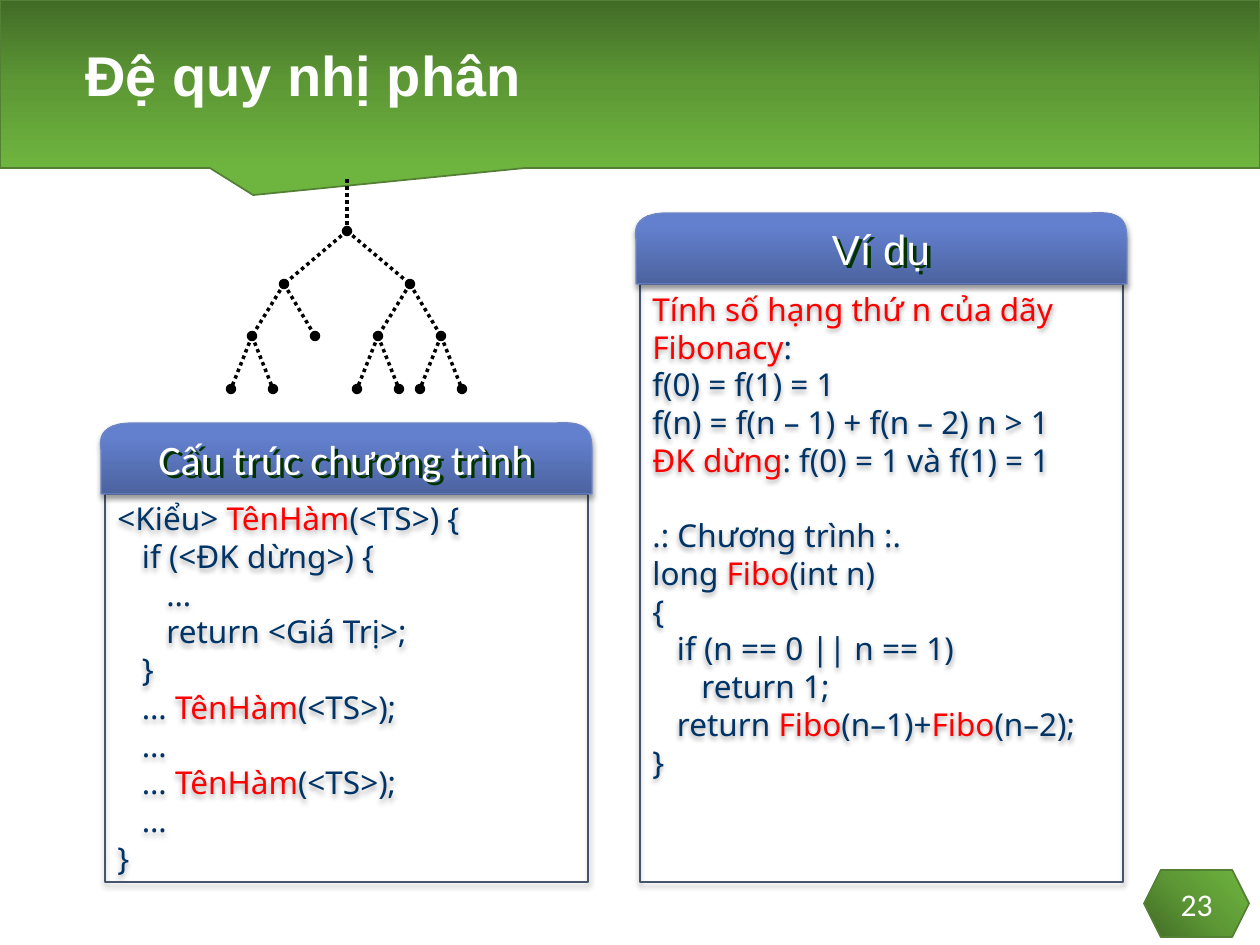
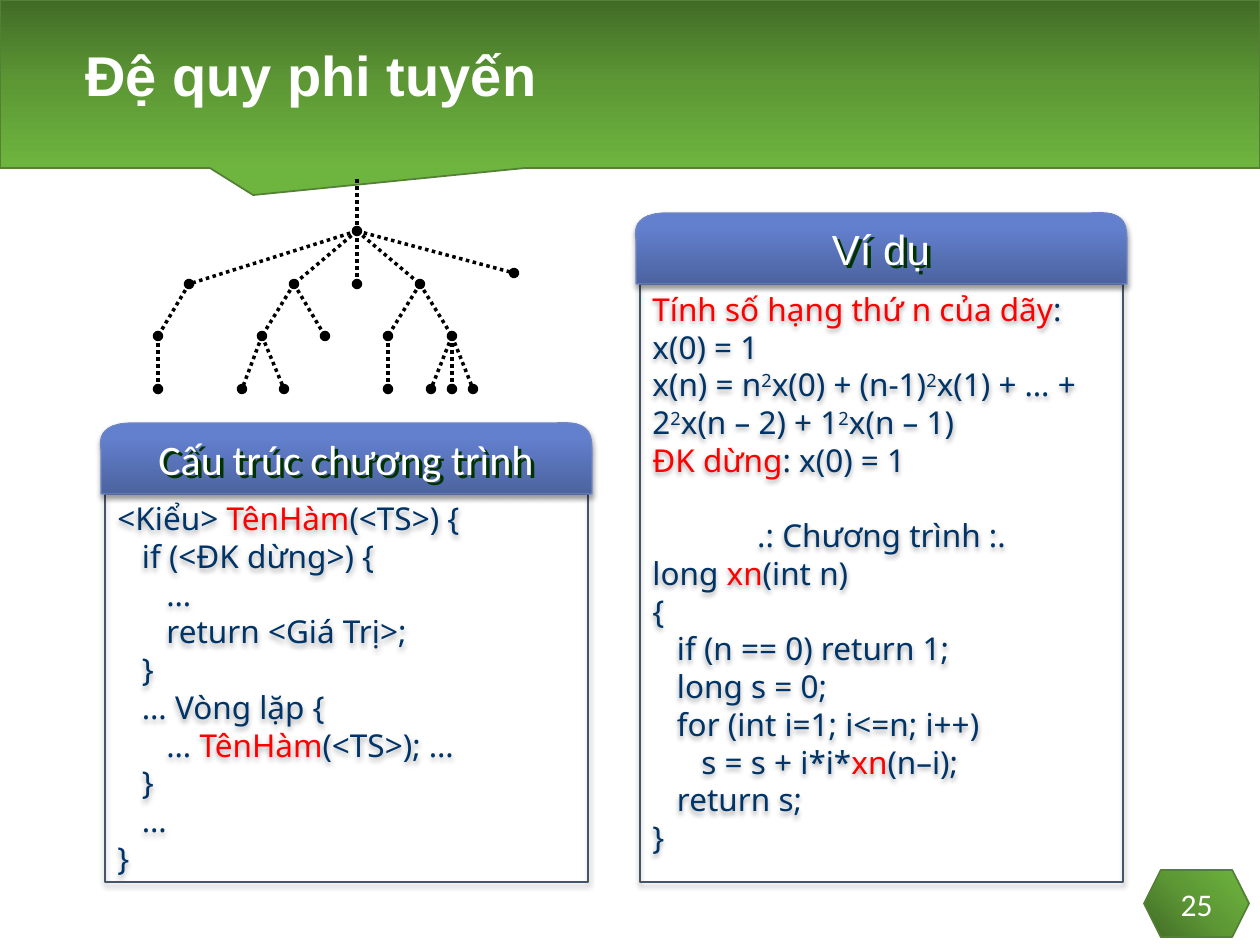
from lxml import etree
from pptx import Presentation
from pptx.dml.color import RGBColor
from pptx.enum.dml import MSO_LINE
from pptx.enum.shapes import MSO_CONNECTOR, MSO_SHAPE
from pptx.enum.text import MSO_ANCHOR, PP_ALIGN
from pptx.oxml import parse_xml
from pptx.oxml.ns import nsdecls, qn
from pptx.util import Pt

PX = 914400 / 126  # EMU per pixel

WHITE, BLACK, NAVY, RED = "FFFFFF", "000000", "003366", "FF0000"
GREEN_EDGE, BOX_EDGE, TAB_EDGE = "538035", "44546A", "6E86C6"
GREENS = [(0, "416B26"), (50, "5D9835"), (100, "6EB53F")]
BLUES = [(0, "4C639F"), (80, "6380CE"), (100, "6180D1")]
SHADOW = ('<a:outerShdw {ns} blurRad="{blur}" dist="{dist}" dir="{turn}" algn="ctr" rotWithShape="0">'
          '<a:srgbClr val="{colour}"><a:alpha val="{alpha}"/></a:srgbClr></a:outerShdw>')
SOFT = SHADOW.format(ns=nsdecls("a"), blur=39370, dist=22860, turn=5400000,
                     colour=BLACK, alpha=35000)
HARD = SHADOW.format(ns=nsdecls("a"), blur=0, dist=35560, turn=2700000,
                     colour="003300", alpha=100000)
LINE_PITCH = Pt(21.55)
INDENT = 24.5

# Code lines: a tab is one indent, ~ toggles red, ^ toggles superscript.
HEAD = ["<Kiểu> ~TênHàm~(<TS>) {", "\tif (<ĐK dừng>) {", "\t\t…",
        "\t\treturn <Giá Trị>;", "\t}"]
CAPTION = ".: Chương trình :."
LEVELS = [179, 231, 284, 336, 389]
RAISED = {514: 273}  # the one node above its level

SLIDES = [
    {
        "title": "Đệ quy nhị phân", "number": "23", "caption_align": PP_ALIGN.LEFT,
        "structure": HEAD + ["\t… ~TênHàm~(<TS>);", "\t…"] * 2 + ["}"],
        "example": ["~Tính số hạng thứ n của dãy Fibonacy~:", "f(0) = f(1) = 1",
                    "f(n) = f(n – 1) + f(n – 2) n > 1",
                    "~ĐK dừng~: f(0) = 1 và f(1) = 1", CAPTION,
                    "long ~Fibo~(int n)", "{", "\tif (n == 0 || n == 1)",
                    "\t\treturn 1;", "\treturn ~Fibo~(n–1)+~Fibo~(n–2);", "}"],
        "tree": [{347: [347]}, {347: [284, 410]},
                 {284: [252, 315], 410: [378, 441]},
                 {252: [231, 273], 378: [357, 399], 441: [420, 462]}],
    },
    {
        "title": "Đệ quy phi tuyến", "number": "25", "caption_align": PP_ALIGN.CENTER,
        "structure": HEAD + ["\t… Vòng lặp {", "\t\t… ~TênHàm~(<TS>); …", "\t}", "\t…", "}"],
        "example": ["~Tính số hạng thứ n của dãy~:", "x(0) = 1",
                    "x(n) = n^2^x(0) + (n-1)^2^x(1) + … + 2^2^x(n – 2) + 1^2^x(n – 1)",
                    "~ĐK dừng~: x(0) = 1", CAPTION,
                    "long ~xn~(int n)", "{", "\tif (n == 0) return 1;", "\tlong s = 0;",
                    "\tfor (int i=1; i<=n; i++)", "\t\ts = s + i*i*~xn~(n–i);",
                    "\treturn s;", "}"],
        "tree": [{357: [357]}, {357: [189, 294, 357, 420, 514]},
                 {189: [158], 294: [262, 325], 420: [388, 452]},
                 {158: [158], 262: [242, 284], 388: [388], 452: [431, 452, 473]}],
    },
]


def paint(fill, colours, spPr=None, angle=None):
    """Fill with one hex colour, or with (percent, hex) stops, radial without an angle."""
    if isinstance(colours, str):
        fill.solid()
        fill.fore_color.rgb = RGBColor.from_string(colours)
        return
    fill.gradient()
    grad = spPr.find(qn("a:gradFill"))
    stops = grad.find(qn("a:gsLst"))
    for stop in list(stops):
        stops.remove(stop)
    for percent, colour in colours:
        stop = etree.SubElement(stops, qn("a:gs"), pos=str(percent * 1000))
        etree.SubElement(stop, qn("a:srgbClr"), val=colour)
    if angle is not None:
        fill.gradient_angle = angle
    else:
        grad.replace(grad.find(qn("a:lin")), parse_xml(
            f'<a:path {nsdecls("a")} path="circle"><a:fillToRect t="100000" r="100000"/></a:path>'))


def write(shape, lines, font, size, colour, align=PP_ALIGN.LEFT, anchor=MSO_ANCHOR.TOP):
    """Write marked-up lines into a shape and return its paragraphs."""
    frame = shape.text_frame
    frame.word_wrap = True
    frame.vertical_anchor = anchor
    for index, line in enumerate(lines):
        para = frame.add_paragraph() if index else frame.paragraphs[0]
        para.alignment = align
        depth = line.count("\t")
        if depth:
            para._p.get_or_add_pPr().set("marL", str(round(depth * INDENT * PX)))
        for i, part in enumerate(line.strip("\t").split("~")):
            for j, text in enumerate(part.split("^")):
                if not text:
                    continue
                run = para.add_run()
                run.text = text
                run.font.name, run.font.size = font, Pt(size)
                paint(run.font.fill, RED if i % 2 else colour)
                if j % 2:
                    run.font._element.set("baseline", "30000")
    return frame.paragraphs


# Tab outline, measured from the top left corner of the box below it
corners = [((487, -45), (486, -56), (488, -74), (451, -71)),
           ((31, -71), (-11, -72), (-4, -49), (-4, -44))]
tab_outline = [(-4, 0), (487, 0)]
for curve in corners:
    for step in range(13):
        t = step / 12
        weights = ((1 - t) ** 3, 3 * t * (1 - t) ** 2, 3 * t * t * (1 - t), t ** 3)
        tab_outline.append(tuple(sum(w * p[axis] for w, p in zip(weights, curve))
                                 for axis in (0, 1)))

prs = Presentation()
prs.slide_width, prs.slide_height = round(1260 * PX), round(945 * PX)

for content in SLIDES:
    slide = prs.slides.add_slide(prs.slide_layouts[6])
    shapes = slide.shapes

    # Green band and page number
    band = shapes.add_shape(MSO_SHAPE.RECTANGULAR_CALLOUT, 0, 0, prs.slide_width, round(168 * PX))
    band.adjustments[0], band.adjustments[1] = -0.299, 0.661
    badge = shapes.add_shape(MSO_SHAPE.HEXAGON,
                             *(round(v * PX) for v in (1144, 870, 105, 67)))
    for shape, angle in ((band, 270), (badge, None)):
        paint(shape.fill, GREENS, shape.element.spPr, angle)
        paint(shape.line.fill, GREEN_EDGE)
        shape.line.width = Pt(1)
        shape.shadow.inherit = False
    write(badge, [content["number"]], "Calibri", 18, WHITE, PP_ALIGN.CENTER, MSO_ANCHOR.MIDDLE)

    title = shapes.add_textbox(*(round(v * PX) for v in (73, 10, 1113, 136)))
    heading = write(title, [content["title"]], "Arial", 32, WHITE, anchor=MSO_ANCHOR.MIDDLE)[0]
    heading.line_spacing = 0.9
    heading.runs[0].font.bold = True

    # Two panels: box, tab and tab label
    for left, top, label, label_font, lines, anchor in (
            (105, 494, "Cấu trúc chương trình", "Calibri", content["structure"], MSO_ANCHOR.MIDDLE),
            (640, 284, "Ví dụ", "Arial", content["example"], MSO_ANCHOR.TOP)):
        box = shapes.add_shape(MSO_SHAPE.ROUNDED_RECTANGLE,
                               *(round(v * PX) for v in (left, top, 483, 882 - top)))
        box.adjustments[0] = 0
        box.fill.background()
        paint(box.line.fill, BOX_EDGE)
        box.line.width = Pt(1)
        for para in write(box, lines, "Noto Sans", 18, NAVY, anchor=anchor):
            para.line_spacing = LINE_PITCH
            if para.text == CAPTION:
                para.space_before = LINE_PITCH
                para.alignment = content["caption_align"]

        points = [((left + x) * PX, (top + y) * PX) for x, y in tab_outline]
        builder = shapes.build_freeform(*points[0])
        builder.add_line_segments(points[1:], close=True)
        tab = builder.convert_to_shape()
        paint(tab.fill, BLUES, tab.element.spPr, 90)
        paint(tab.line.fill, TAB_EDGE)
        tab.line.width = Pt(0.75)

        caption = shapes.add_textbox(*(round(v * PX) for v in (left + 10, top - 67, 462, 63)))
        write(caption, [label], label_font, 24, WHITE, PP_ALIGN.CENTER)

        for shape, shadow in ((box, SOFT), (tab, SOFT), (caption, HARD)):
            shape.shadow.inherit = False
            shape.element.spPr.find(qn("a:effectLst")).append(parse_xml(shadow))

    # Call tree, one dotted branch per call
    for start_y, level_y, branches in zip(LEVELS, LEVELS[1:], content["tree"]):
        for parent, children in branches.items():
            for child in children:
                branch = shapes.add_connector(
                    MSO_CONNECTOR.STRAIGHT,
                    *(round(v * PX) for v in (parent, start_y, child, RAISED.get(child, level_y))))
                paint(branch.line.fill, BLACK)
                branch.line.width = Pt(2)
                branch.line.dash_style = MSO_LINE.ROUND_DOT
                spPr = branch.element.spPr
                etree.SubElement(spPr.find(qn("a:ln")), qn("a:tailEnd"), type="oval")
                etree.SubElement(spPr, qn("a:effectLst"))

prs.save("out.pptx")
